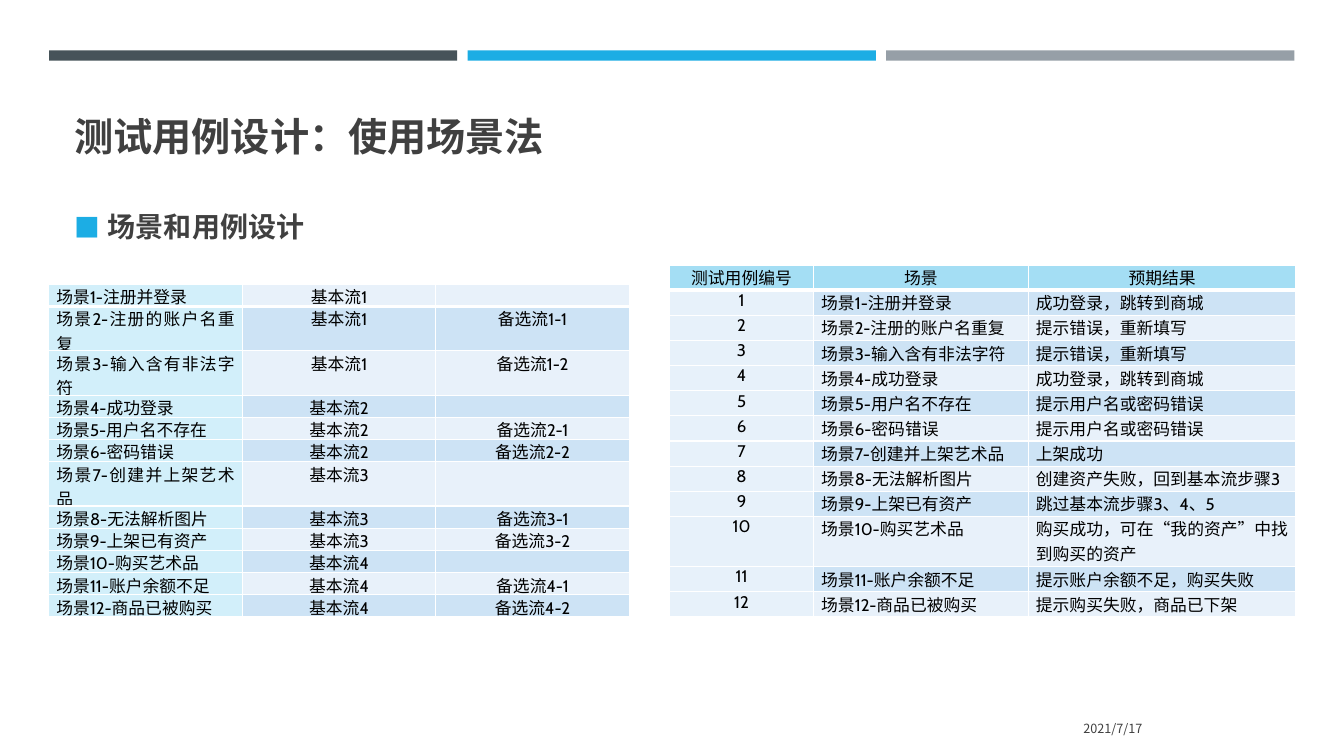
"""Build the slide on test case design with the scenario method."""
import pptx
import pptx.dml.color
import pptx.enum.shapes
import pptx.enum.text
import pptx.oxml
import pptx.oxml.ns
import pptx.util

Pt = pptx.util.Pt
ALIGN = pptx.enum.text.PP_ALIGN
ANCHOR = pptx.enum.text.MSO_ANCHOR
NAMESPACE = pptx.oxml.ns.nsdecls("a")
CJK_FONT = "Noto Sans CJK SC"


def color(value):
    return pptx.dml.color.RGBColor.from_string(value)


def style(paragraph, size, font_name, text_color, bold, alignment):
    paragraph.alignment = alignment
    paragraph.font.size = Pt(size)
    paragraph.font.name = font_name
    paragraph.font.bold = bold
    paragraph.font.color.rgb = color(text_color)
    properties = paragraph._p.pPr.find(pptx.oxml.ns.qn("a:defRPr"))
    properties.append(pptx.oxml.parse_xml(f'<a:ea {NAMESPACE} typeface="{CJK_FONT}"/>'))


presentation = pptx.Presentation()
presentation.slide_width = Pt(960)
presentation.slide_height = Pt(540)
slide = presentation.slides.add_slide(presentation.slide_layouts[6])

for index, bar_color in enumerate(["465359", "1CADE4", "969FA7"]):
    bar = slide.shapes.add_shape(
        pptx.enum.shapes.MSO_SHAPE.RECTANGLE,
        Pt(35 + 299 * index), Pt(36), Pt(291.6), Pt(7.4))
    bar.shadow.inherit = False
    bar.fill.solid()
    bar.fill.fore_color.rgb = color(bar_color)
    bar.line.fill.background()

texts = [
    ("测试用例设计：使用场景法", 46, 55.4, 868, 62, 28, True, ALIGN.LEFT, ANCHOR.BOTTOM),
    ("2021/7/17", 599, 506, 224, 29, 9, False, ALIGN.RIGHT, ANCHOR.MIDDLE),
    ("场景和用例设计", 46, 144, 238, 32.4, 20, True, ALIGN.LEFT, ANCHOR.TOP),
]
for text, left, top, width, height, size, bold, alignment, anchor in texts:
    box = slide.shapes.add_textbox(Pt(left), Pt(top), Pt(width), Pt(height))
    box.text_frame.word_wrap = True
    box.text_frame.vertical_anchor = anchor
    paragraph = box.text_frame.paragraphs[0]
    paragraph.text = text
    if anchor == ANCHOR.TOP:
        paragraph.line_spacing = 1.1
        paragraph.space_after = Pt(6)
        bullet = paragraph._p.get_or_add_pPr()
        bullet.set("marL", str(Pt(24)))
        bullet.set("indent", str(Pt(-24)))
        for element in ['<a:buClr {}><a:srgbClr val="1CADE4"/></a:buClr>',
                        '<a:buSzPct {} val="92000"/>',
                        '<a:buFont {} typeface="Noto Sans CJK SC"/>',
                        '<a:buChar {} char="■"/>']:
            bullet.append(pptx.oxml.parse_xml(element.format(NAMESPACE)))
    style(paragraph, size, CJK_FONT, "404040", bold, alignment)

scenarios = [
    ("注册并登录", "1", "", "成功登录，跳转到商城"),
    ("注册的账户名重复", "1", "1-1", "提示错误，重新填写"),
    ("输入含有非法字符", "1", "1-2", "提示错误，重新填写"),
    ("成功登录", "2", "", "成功登录，跳转到商城"),
    ("用户名不存在", "2", "2-1", "提示用户名或密码错误"),
    ("密码错误", "2", "2-2", "提示用户名或密码错误"),
    ("创建并上架艺术品", "3", "", "上架成功"),
    ("无法解析图片", "3", "3-1", "创建资产失败，回到基本流步骤3"),
    ("上架已有资产", "3", "3-2", "跳过基本流步骤3、4、5"),
    ("购买艺术品", "4", "", "购买成功，可在“我的资产”中找到购买的资产"),
    ("账户余额不足", "4", "4-1", "提示账户余额不足，购买失败"),
    ("商品已被购买", "4", "4-2", "提示购买失败，商品已下架"),
]
flow_rows = []
case_rows = [("测试用例编号", "场景", "预期结果")]
for number, (name, basic, alternative, result) in enumerate(scenarios, 1):
    scenario = f"场景{number}-{name}"
    flow_rows.append((scenario, f"基本流{basic}", f"备选流{alternative}" if alternative else ""))
    case_rows.append((str(number), scenario, result))

CENTER, JUSTIFY = ALIGN.CENTER, ALIGN.JUSTIFY
tables = [
    (flow_rows, 34.9, 203, [138.2, 138.2, 138.2], 15.85, [1, 2, 6],
     "D2EFFA", None, [JUSTIFY, CENTER, CENTER]),
    (case_rows, 478.2, 189.4, [103, 153.4, 191], 17.95, [10],
     "E7F1FA", "A4DEF4", [CENTER, JUSTIFY, JUSTIFY]),
]
for rows, left, top, widths, row_height, tall_rows, first_fill, header_fill, alignments in tables:
    table = slide.shapes.add_table(
        len(rows), 3, Pt(left), Pt(top), Pt(sum(widths)),
        Pt(row_height * (len(rows) + len(tall_rows)))).table
    table.first_row = False
    table.horz_banding = False
    for column, width in zip(table.columns, widths):
        column.width = Pt(width)
    for row_index, row in enumerate(rows):
        table.rows[row_index].height = Pt(row_height * (2 if row_index in tall_rows else 1))
        is_header = row_index == 0 and header_fill is not None
        for column_index, text in enumerate(row):
            cell = table.cell(row_index, column_index)
            cell.margin_left = cell.margin_right = Pt(5.4)
            cell.margin_top = cell.margin_bottom = Pt(0)
            cell.fill.solid()
            band_fill = "CDE3F5" if row_index % 2 else "E8F1FA"
            cell_fill = first_fill if column_index == 0 else band_fill
            cell.fill.fore_color.rgb = color(header_fill if is_header else cell_fill)
            if row_index == 0:
                cell._tc.tcPr.insert(0, pptx.oxml.parse_xml(
                    f'<a:lnB {NAMESPACE} w="{Pt(3)}"><a:solidFill>'
                    '<a:srgbClr val="FFFFFF"/></a:solidFill></a:lnB>'))
            paragraph = cell.text_frame.paragraphs[0]
            paragraph.text = text
            style(paragraph, 12, "Cabin", "000000", False,
                  CENTER if is_header else alignments[column_index])
            if not text:
                paragraph._p.append(pptx.oxml.parse_xml(
                    f'<a:endParaRPr {NAMESPACE} sz="1200"/>'))

presentation.save("out.pptx")
